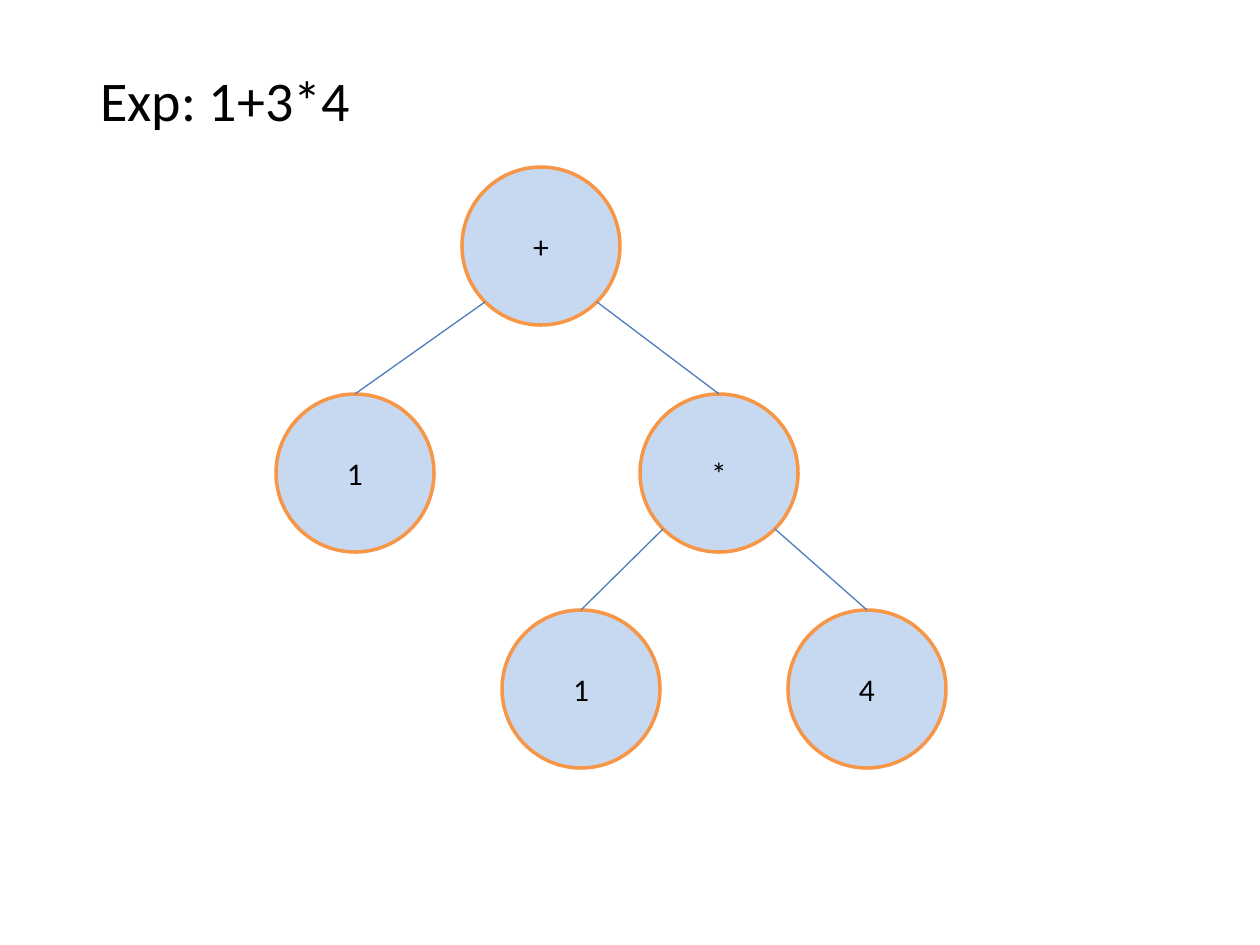
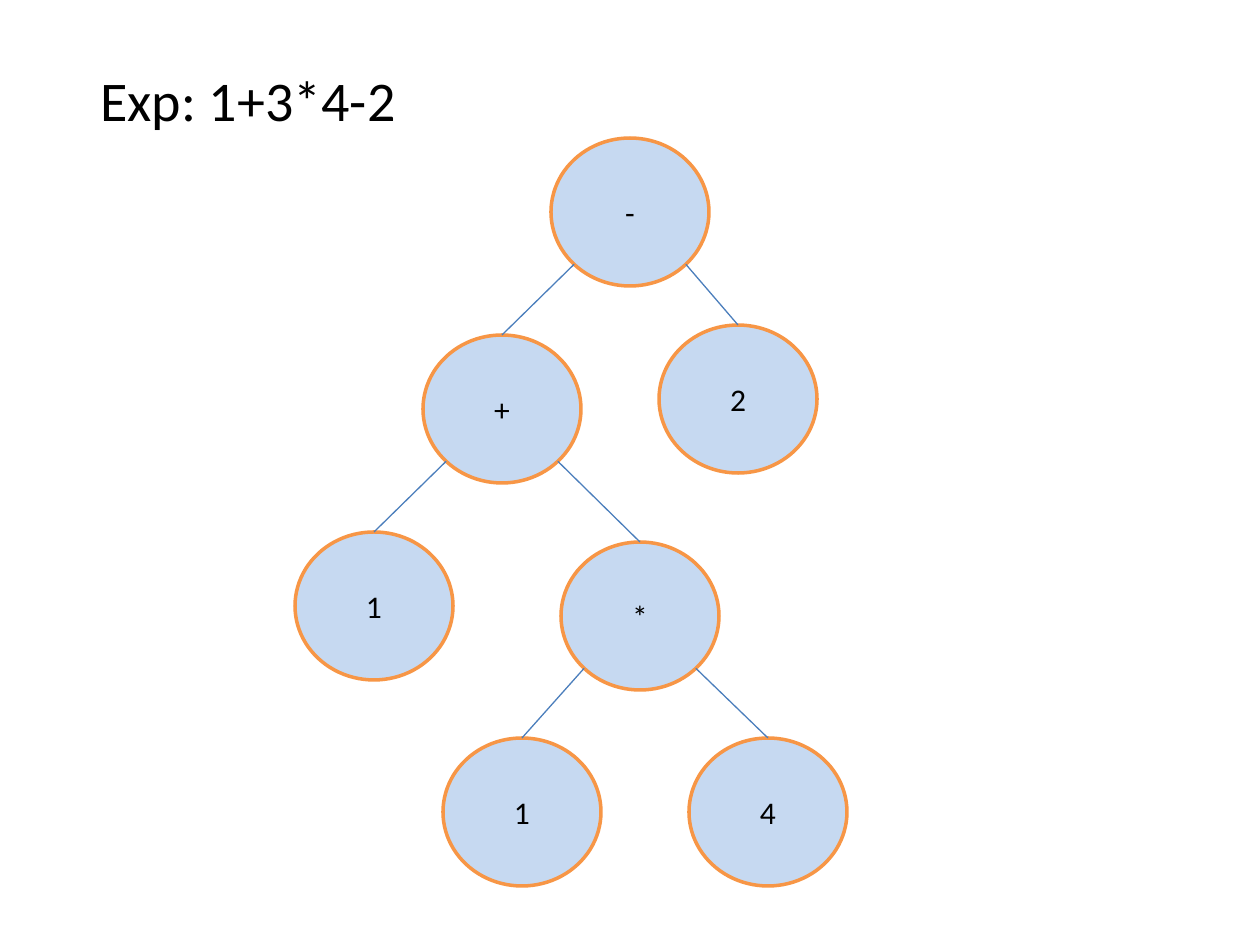
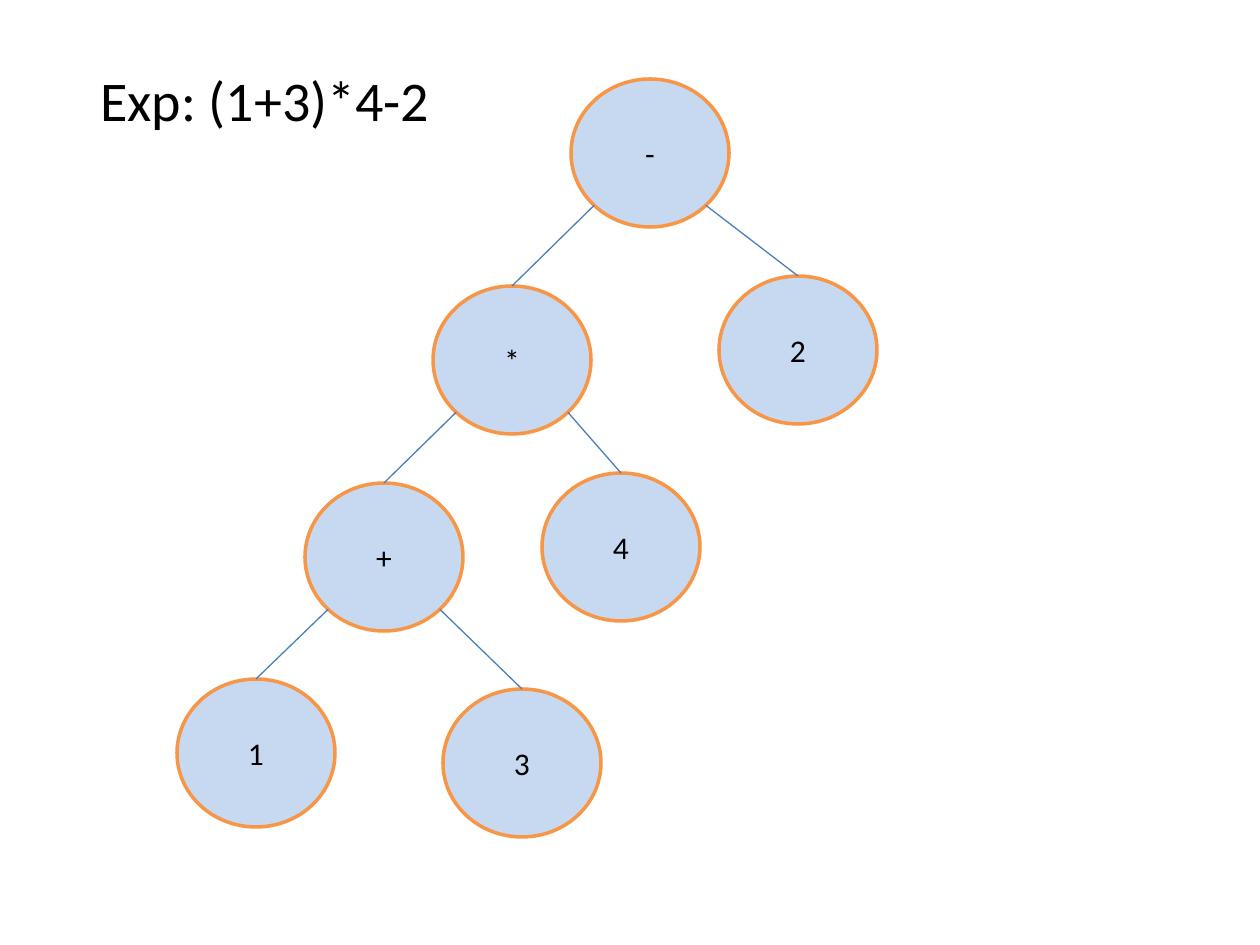
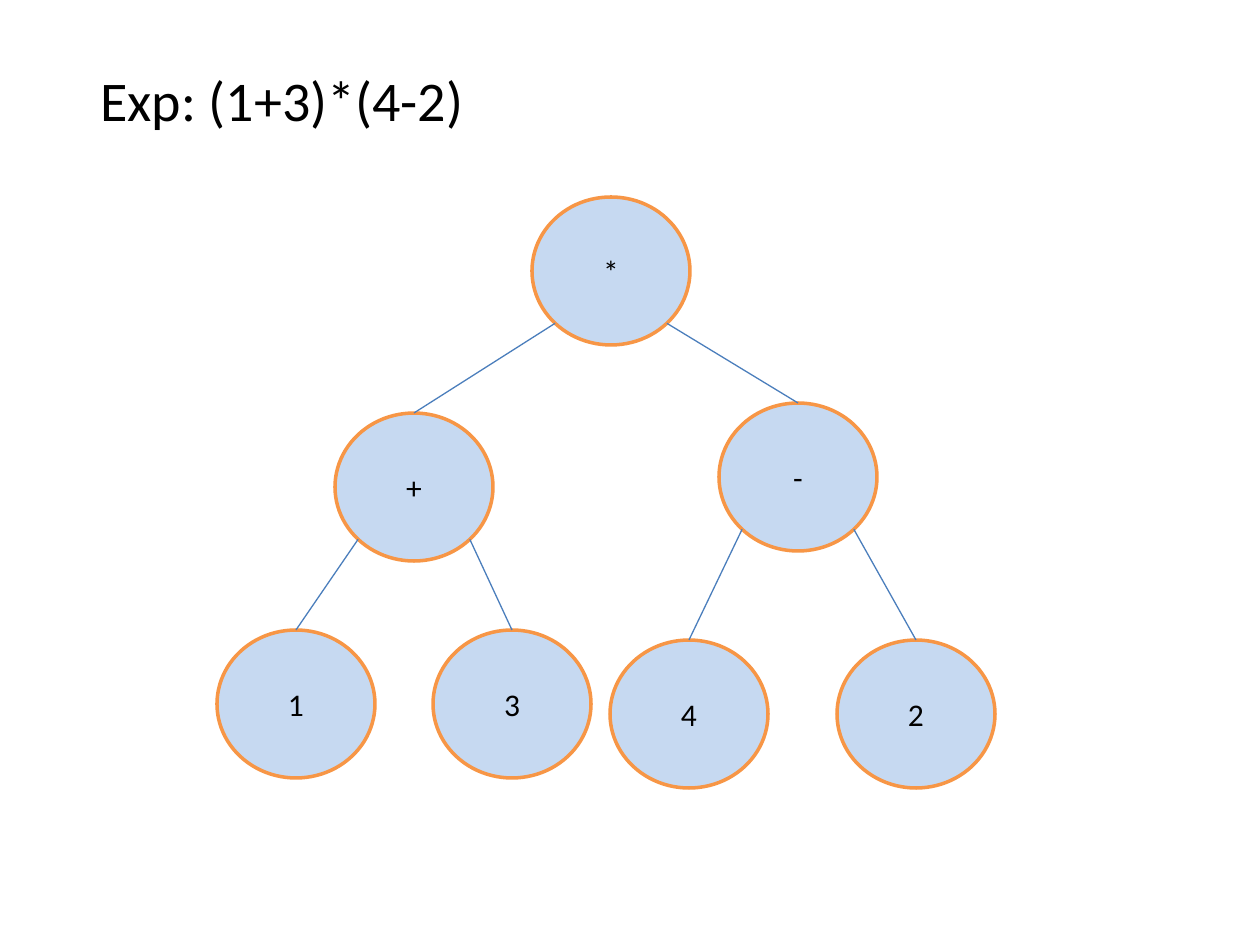
import math

import pptx
import pptx.dml.color
import pptx.enum.shapes
import pptx.enum.text
import pptx.oxml
import pptx.oxml.ns
import pptx.util

# Content: a node is (label, left, top, left child, right child); a leaf has no children
TREES = [
    {
        "title": "Exp: 1+3*4", "title_width": 278, "node_height": 158,
        "root": ("+", 462, 167,
                 ("1", 276, 394),
                 ("*", 640, 394,
                  ("1", 502, 610),
                  ("4", 788, 610))),
    },
    {
        "title": "Exp: 1+3*4-2", "title_width": 324, "node_height": 148,
        "root": ("-", 551, 138,
                 ("+", 423, 335,
                  ("1", 295, 532),
                  ("*", 561, 542,
                   ("1", 443, 738),
                   ("4", 689, 738))),
                 ("2", 659, 325)),
    },
    {
        "title": "Exp: (1+3)*4-2", "title_width": 359, "node_height": 148,
        "root": ("-", 571, 79,
                 ("*", 433, 286,
                  ("+", 305, 483,
                   ("1", 177, 679),
                   ("3", 443, 689)),
                  ("4", 542, 473)),
                 ("2", 719, 276)),
    },
    {
        "title": "Exp: (1+3)*(4-2)", "title_width": 393, "node_height": 148,
        "root": ("*", 532, 197,
                 ("+", 335, 413,
                  ("1", 217, 630),
                  ("3", 433, 630)),
                 ("-", 719, 403,
                  ("4", 610, 640),
                  ("2", 837, 640))),
    },
]

# Shared style
PIXEL = 914400 / 126
FONT = "Calibri"
NODE_FILL = pptx.dml.color.RGBColor(0xC6, 0xD9, 0xF1)
NODE_LINE = pptx.dml.color.RGBColor(0xF7, 0x96, 0x46)
EDGE_LINE = pptx.dml.color.RGBColor(0x4B, 0x7E, 0xBC)
TEXT = pptx.dml.color.RGBColor(0x00, 0x00, 0x00)
NODE_WIDTH = 158
DIAGONAL = math.sqrt(0.5)  # where an edge leaves the ellipse, at 45 degrees


def emu(*pixels):
    return [pptx.util.Emu(round(value * PIXEL)) for value in pixels]


def write(frame, text, size):
    para = frame.paragraphs[0]
    para.text = text
    para.font.name = FONT
    para.font.size = pptx.util.Pt(size)
    para.font.color.rgb = TEXT
    return para


def add_title(page, text, width):
    box = page.shapes.add_textbox(*emu(88, 59, width, 81))
    box.text_frame.word_wrap = False
    box.text_frame.auto_size = pptx.enum.text.MSO_AUTO_SIZE.SHAPE_TO_FIT_TEXT
    write(box.text_frame, text, 32)


def add_node(page, label, left, top, height):
    oval = page.shapes.add_shape(pptx.enum.shapes.MSO_SHAPE.OVAL,
                                 *emu(left, top, NODE_WIDTH, height))
    oval.shadow.inherit = False
    oval.fill.solid()
    oval.fill.fore_color.rgb = NODE_FILL
    oval.line.color.rgb = NODE_LINE
    oval.line.width = pptx.util.Pt(2)
    oval.text_frame.vertical_anchor = pptx.enum.text.MSO_ANCHOR.MIDDLE
    write(oval.text_frame, label, 18).alignment = pptx.enum.text.PP_ALIGN.CENTER


def add_edge(page, *ends):
    edge = page.shapes.add_connector(pptx.enum.shapes.MSO_CONNECTOR.STRAIGHT, *emu(*ends))
    edge.line.color.rgb = EDGE_LINE
    edge.line.width = pptx.util.Pt(0.75)
    properties = edge._element.spPr
    properties.append(pptx.oxml.parse_xml(
        "<a:effectLst %s/>" % pptx.oxml.ns.nsdecls("a")))


def add_tree(page, node, height):
    label, left, top, *children = node
    add_node(page, label, left, top, height)
    for child, side in zip(children, (-1, 1)):
        add_tree(page, child, height)
        add_edge(page,
                 left + NODE_WIDTH / 2 * (1 + side * DIAGONAL),
                 top + height / 2 * (1 + DIAGONAL),
                 child[1] + NODE_WIDTH / 2,
                 child[2])


# Build the deck
deck = pptx.Presentation()
deck.slide_width, deck.slide_height = emu(1260, 945)
for tree in TREES:
    page = deck.slides.add_slide(deck.slide_layouts[6])
    add_tree(page, tree["root"], tree["node_height"])
    add_title(page, tree["title"], tree["title_width"])
deck.save("out.pptx")
